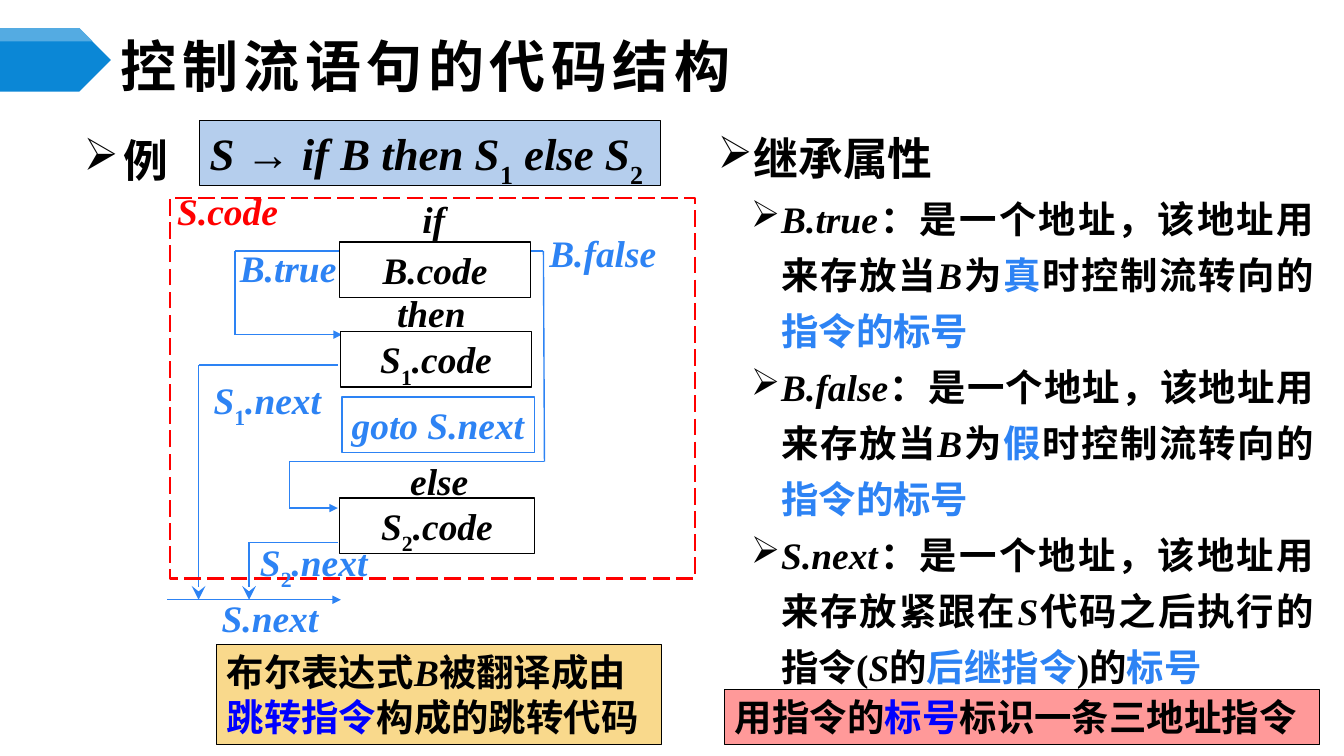
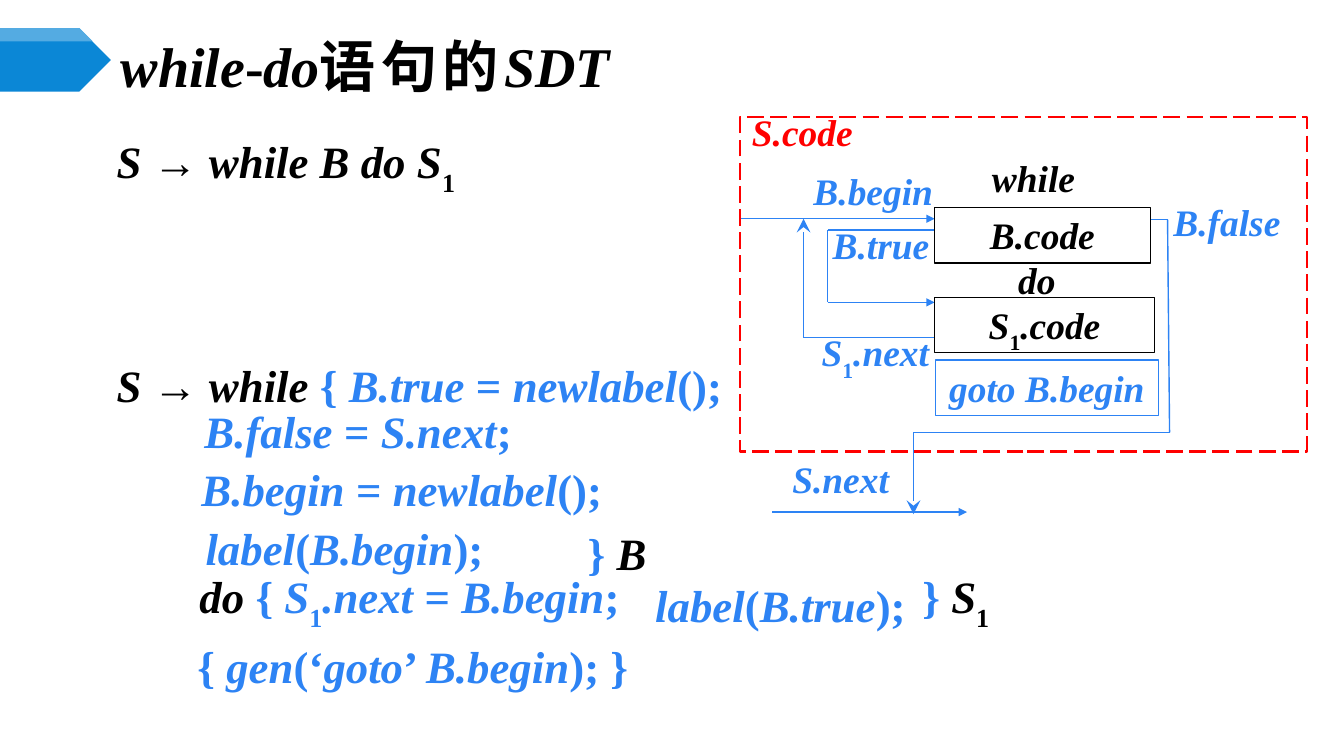
"""Build two slides on code structure and translation of control-flow statements."""
from dataclasses import dataclass
from itertools import pairwise

from lxml.etree import SubElement
from pptx import Presentation
from pptx.dml.color import RGBColor
from pptx.enum.dml import MSO_LINE
from pptx.enum.shapes import MSO_CONNECTOR, MSO_SHAPE
from pptx.enum.text import MSO_ANCHOR, PP_ALIGN
from pptx.oxml.ns import qn
from pptx.util import Inches, Pt


@dataclass(frozen=True)
class Theme:
    latin: str = "Times New Roman"
    asian: str = "Noto Sans CJK SC"
    black: str = "000000"
    white: str = "FFFFFF"
    blue: str = "2D83F4"
    strong: str = "0000FF"
    red: str = "FF0000"
    arrow: str = "0B87D6"
    arrow_light: str = "54ABE2"
    rule_fill: str = "B5CEED"
    note_fill: str = "F9D98C"
    key_fill: str = "FF9999"
    title: float = 40
    large: float = 32
    body: float = 26.7


THEME = Theme()

TOGGLES = {"italic": "*", "subscript": "_", "blue": "^", "strong": "#", "wide": "~"}

IF_ELSE = {
    "title": "~控制流语句的代码结构~",
    "frame": (1.69, 1.96, 5.2, 3.78),
    "paths": [
        ([(3.37, 2.49), (2.33, 2.49), (2.33, 3.32), (3.39, 3.32)], "triangle"),
        ([(3.35, 3.62), (1.97, 3.62), (1.97, 5.95)], "stealth"),
        ([(3.35, 5.38), (2.47, 5.38), (2.47, 5.95)], "stealth"),
        ([(1.66, 5.95), (3.38, 5.95)], "triangle"),
        ([(5.26, 2.49), (5.39, 2.49), (5.4, 4.58), (2.87, 4.58), (2.87, 5.04), (3.35, 5.04)], "triangle"),
    ],
    "labels": [
        (1.66, 1.82, "*S.code*", THEME.red),
        (4.09, 1.9, "*if*", THEME.black),
        (3.84, 2.83, "*then*", THEME.black),
        (3.97, 4.5, "*else*", THEME.black),
        (2.28, 2.38, "*B.true*", THEME.blue),
        (5.35, 2.23, "*B.false*", THEME.blue),
        (2.02, 3.69, "*S*_1_*.next*", THEME.blue),
        (2.48, 5.3, "*S*_2_*.next*", THEME.blue),
        (2.1, 5.85, "*S.next*", THEME.blue),
    ],
    "boxes": [
        (3.37, 2.4, 1.89, "*B.code*", THEME.black),
        (3.38, 3.29, 1.89, "*S*_1_*.code*", THEME.black),
        (3.39, 3.94, 1.91, "*goto S.next*", THEME.blue),
        (3.37, 4.94, 1.93, "*S*_2_*.code*", THEME.black),
    ],
}

WHILE_DO = {
    "title": "*while*-*do*~语句的~*SDT*",
    "frame": (7.34, 1.16, 5.62, 3.32),
    "paths": [
        ([(7.34, 2.17), (9.27, 2.17)], "triangle"),
        ([(9.27, 2.28), (8.21, 2.28), (8.21, 3), (9.27, 3)], "triangle"),
        ([(9.27, 3.35), (7.97, 3.35), (7.97, 2.17)], "stealth"),
        ([(11.41, 2.18), (11.58, 2.18), (11.6, 4.29), (9.06, 4.29), (9.06, 5.1)], "stealth"),
        ([(7.66, 5.08), (9.59, 5.08)], "triangle"),
    ],
    "labels": [
        (7.36, 1.03, "*S.code*", THEME.red),
        (9.74, 1.49, "*while*", THEME.black),
        (10, 2.5, "*do*", THEME.black),
        (7.97, 1.62, "*B.begin*", THEME.blue),
        (8.16, 2.15, "*B.true*", THEME.blue),
        (11.54, 1.93, "*B.false*", THEME.blue),
        (8.05, 3.22, "*S*_1_*.next*", THEME.blue),
        (7.76, 4.48, "*S.next*", THEME.blue),
    ],
    "boxes": [
        (9.27, 2.06, 2.14, "*B.code*", THEME.black),
        (9.27, 2.95, 2.18, "*S*_1_*.code*", THEME.black),
        (9.28, 3.57, 2.21, "*goto B.begin*", THEME.blue),
    ],
}

ATTRIBUTES = [
    "*B.true*：是一个地址，该地址用来存放当*B*为^真^时控制流转向的^指令的标号^",
    "*B.false*：是一个地址，该地址用来存放当*B*为^假^时控制流转向的^指令的标号^",
    "*S.next*：是一个地址，该地址用来存放紧跟在*S*代码之后执行的指令(*S*的^后继指令^)的^标号^",
]

CALLOUTS = [
    ((1.98, 1.2, 4.57, 0.64), THEME.rule_fill, THEME.large, "*S *→ *if B then S*_1_* else S*_2_"),
    ((2.15, 6.39, 4.41, 1), THEME.note_fill, THEME.body, "布尔表达式*B*被翻译成由#跳转指令#构成的跳转代码"),
    ((7.19, 6.84, 5.9, 0.55), THEME.key_fill, THEME.body, "用指令的#标号#标识一条三地址指令"),
]

SDT_LINES = [
    (1.06, 1.28, 5, None, "*S *→ *while B do S*_1_"),
    (1.06, 3.48, 6.6, 40, "*S *→ *while *^{ *B.true* = *newlabel*();^"),
    (1.93, 3.93, 3.8, 40, "^*B.false* = *S.next*;^"),
    (1.9, 4.51, 4.45, 40, "^*B.begin* = *newlabel*();^"),
    (1.94, 5.09, 3.58, 40, "^*label*(*B.begin*);^"),
    (5.73, 5.14, 1.5, 40, "^} ^*B*"),
    (1.88, 5.67, 4.7, 40, "*do *^{ *S*_1_*.next* = *B.begin*;^"),
    (6.4, 5.68, 3.18, None, "^*label*(*B.true*);^"),
    (9.05, 5.67, 1.5, 40, "^} ^*S*_1_"),
    (1.86, 6.27, 6.82, 40, "^{ *gen*(‘*goto*’ *B.begin*); }^"),
]


def rgb(value):
    return RGBColor.from_string(value)


def add_styled_run(paragraph, text, styles):
    run = paragraph.add_run()
    run.text = text
    if "italic" in styles:
        run.font.italic = True
    for name in ("blue", "strong"):
        if name in styles:
            run.font.color.rgb = rgb(getattr(THEME, name))
    properties = run._r.get_or_add_rPr()
    if "subscript" in styles:
        properties.set("baseline", "-30000")
    if "wide" in styles:
        properties.set("spc", "400")


def add_runs(paragraph, markup):
    names = {mark: name for name, mark in TOGGLES.items()}
    styles, text = set(), ""
    for character in markup:
        if character not in names:
            text += character
            continue
        if text:
            add_styled_run(paragraph, text, styles)
        styles ^= {names[character]}
        text = ""
    if text:
        add_styled_run(paragraph, text, styles)


def format_paragraph(paragraph, markup, size, color=THEME.black, align=PP_ALIGN.LEFT,
                     spacing=None, margin=0, hanging=0):
    paragraph.alignment = align
    if spacing:
        paragraph.line_spacing = Pt(spacing)
    properties = paragraph._p.get_or_add_pPr()
    if hanging:
        properties.set("marL", str(Inches(margin)))
        properties.set("indent", str(-Inches(hanging)))
        SubElement(properties, qn("a:buChar"), char="➢")
    font = paragraph.font
    font.size, font.bold, font.name = Pt(size), True, THEME.latin
    font.color.rgb = rgb(color)
    SubElement(properties.find(qn("a:defRPr")), qn("a:ea"), typeface=THEME.asian)
    add_runs(paragraph, markup)


def add_text(slide, at, markup, size, anchor=MSO_ANCHOR.TOP, **style):
    frame = slide.shapes.add_textbox(*map(Inches, at)).text_frame
    frame.word_wrap = True
    frame.vertical_anchor = anchor
    format_paragraph(frame.paragraphs[0], markup, size, **style)
    return frame


def add_box(slide, at, fill, line, width):
    shape = slide.shapes.add_shape(MSO_SHAPE.RECTANGLE, *map(Inches, at))
    shape.shadow.inherit = False
    if fill:
        shape.fill.solid()
        shape.fill.fore_color.rgb = rgb(fill)
    else:
        shape.fill.background()
    shape.line.color.rgb = rgb(line)
    shape.line.width = Pt(width)
    shape.text_frame.word_wrap = True
    shape.text_frame.vertical_anchor = MSO_ANCHOR.TOP
    return shape


def add_path(slide, points, head):
    for start, end in pairwise(points):
        connector = slide.shapes.add_connector(MSO_CONNECTOR.STRAIGHT, *map(Inches, start + end))
        connector.line.color.rgb = rgb(THEME.blue)
        connector.line.width = Pt(1)
        properties = connector._element.spPr
        if end == points[-1]:
            size = "lg" if head == "stealth" else "med"
            SubElement(properties.find(qn("a:ln")), qn("a:tailEnd"), type=head, w=size, len=size)
        SubElement(properties, qn("a:effectLst"))


def add_heading(slide, title):
    top, band, shoulder = 0.28, 0.13, 0.79
    arrow = slide.shapes.add_shape(MSO_SHAPE.PENTAGON, 0, Inches(top), Inches(1.1), Inches(0.63))
    builder = slide.shapes.build_freeform(0, Inches(top))
    corners = [(shoulder, top), (shoulder + band, top + band), (0, top + band)]
    builder.add_line_segments([(Inches(x), Inches(y)) for x, y in corners], close=True)
    for shape, color in ((arrow, THEME.arrow), (builder.convert_to_shape(), THEME.arrow_light)):
        shape.shadow.inherit = False
        shape.fill.solid()
        shape.fill.fore_color.rgb = rgb(color)
        shape.line.fill.background()
    add_text(slide, (1.1, 0.39, 11.56, 0.52), title, THEME.title, anchor=MSO_ANCHOR.MIDDLE)


def add_diagram_slide(presentation, content):
    slide = presentation.slides.add_slide(presentation.slide_layouts[6])
    add_heading(slide, content["title"])
    for points, head in content["paths"]:
        add_path(slide, points, head)
    add_box(slide, content["frame"], None, THEME.red, 1.5).line.dash_style = MSO_LINE.LONG_DASH
    for left, top, markup, color in content["labels"]:
        add_text(slide, (left, top, 1.6, 0.55), markup, THEME.body, color=color)
    for left, top, width, markup, color in content["boxes"]:
        fill = THEME.white if color == THEME.black else None
        frame = add_box(slide, (left, top, width, 0.55), fill, color, 1).text_frame
        frame.margin_left = frame.margin_right = Inches(0.02)
        format_paragraph(frame.paragraphs[0], markup, THEME.body, color, PP_ALIGN.CENTER)
    return slide


def add_if_else_slide(presentation):
    slide = add_diagram_slide(presentation, IF_ELSE)
    add_text(slide, (0.73, 1.15, 1.11, 0.82), "例", THEME.large, spacing=46.7, margin=0.4, hanging=0.4)
    frame = add_text(slide, (7.02, 1.23, 6.11, 5.86), "继承属性", THEME.large,
                     spacing=40, margin=0.3, hanging=0.3)
    for markup in ATTRIBUTES:
        format_paragraph(frame.add_paragraph(), markup, THEME.body, align=PP_ALIGN.JUSTIFY,
                         spacing=40, margin=0.63, hanging=0.3)
    for at, fill, size, markup in CALLOUTS:
        box = add_box(slide, at, fill, THEME.black, 0.75)
        format_paragraph(box.text_frame.paragraphs[0], markup, size)


def add_while_do_slide(presentation):
    slide = add_diagram_slide(presentation, WHILE_DO)
    for left, top, width, spacing, markup in SDT_LINES:
        add_text(slide, (left, top, width, 0.63), markup, THEME.large, spacing=spacing)


def main():
    presentation = Presentation()
    presentation.slide_width, presentation.slide_height = Inches(13.33), Inches(7.5)
    add_if_else_slide(presentation)
    add_while_do_slide(presentation)
    presentation.save("out.pptx")


if __name__ == "__main__":
    main()
